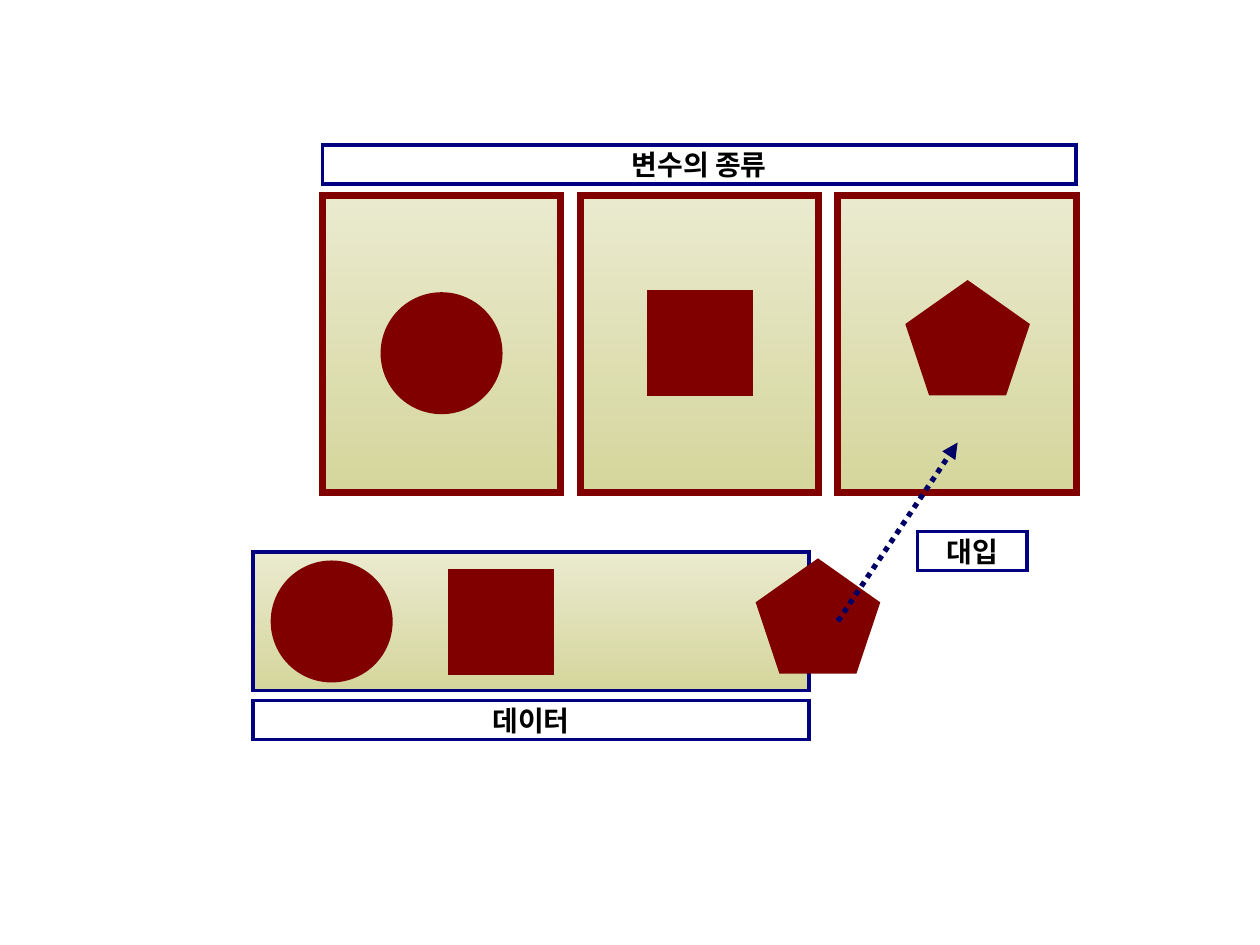
from lxml import etree
from pptx import Presentation
from pptx.dml.color import RGBColor
from pptx.enum.dml import MSO_LINE
from pptx.enum.shapes import MSO_CONNECTOR, MSO_SHAPE
from pptx.enum.text import MSO_ANCHOR, PP_ALIGN
from pptx.oxml.ns import qn
from pptx.util import Pt

RECTANGLE = MSO_SHAPE.RECTANGLE
CIRCLE = MSO_SHAPE.OVAL
PENTAGON = MSO_SHAPE.REGULAR_PENTAGON
STRAIGHT = MSO_CONNECTOR.STRAIGHT
DOTTED = MSO_LINE.ROUND_DOT
MIDDLE = MSO_ANCHOR.MIDDLE
CENTER = PP_ALIGN.CENTER

FONT = "DejaVu Sans Mono"
COLORS = {
    "white": "FFFFFF", "black": "000000", "navy": "000080", "arrow": "000066",
    "maroon": "800000", "sand_light": "EAEACF", "sand_dark": "D5D69C",
}
SAND = ("sand_light", "sand_dark")

# Variable panels: equal boxes filling the width of their heading
PANEL_COUNT = 3
PANELS_LEFT, PANELS_TOP, PANELS_WIDTH = 184.3, 111.6, 430.6
PANEL_WIDTH, PANEL_HEIGHT = 136.1, 169.9
PANEL_STEP = (PANELS_WIDTH - PANEL_WIDTH) / (PANEL_COUNT - 1)

# Data tray below the panels
TRAY_LEFT, TRAY_TOP, TRAY_WIDTH, TRAY_HEIGHT = 144.7, 315.4, 317.5, 79.2

LABEL_HEIGHT = 22.3
LABELS = [  # text, left, top, width
    ("변수의 종류", PANELS_LEFT, 83, PANELS_WIDTH),
    ("데이터", TRAY_LEFT, 400.3, TRAY_WIDTH),
    ("대입", 524.4, 303.8, 62.6),
]

FIGURES = [  # kind, width, height, line weight, position in panel, position in tray
    (CIRCLE, 67.7, 67.7, 2, (218.5, 168), (155.7, 321.3)),
    (RECTANGLE, 56.9, 56.9, 4, (371.5, 167.7), (257.8, 326.9)),
    (PENTAGON, 67.7, 62.6, 3, (519.1, 161.9), (433.6, 320.9)),
]

ARROW = (478.8, 355, 547.2, 252.9)


def color(name):
    return RGBColor.from_string(COLORS[name])


def add_box(kind, left, top, width, height, fill, outline, weight):
    """Add a shape; fill is one colour name or a (top, bottom) pair."""
    box = slide.shapes.add_shape(kind, Pt(left), Pt(top), Pt(width), Pt(height))
    box.shadow.inherit = False
    if isinstance(fill, tuple):
        box.fill.gradient()
        box.fill.gradient_angle = 270
        for stop, name in zip(box.fill.gradient_stops, fill):
            stop.color.rgb = color(name)
    else:
        box.fill.solid()
        box.fill.fore_color.rgb = color(fill)
    box.line.color.rgb = color(outline)
    box.line.width = Pt(weight)
    line = box.line._get_or_add_ln()
    etree.SubElement(line, qn("a:miter"), lim="800000")
    return box


def add_label(text, left, top, width):
    box = add_box(RECTANGLE, left, top, width, LABEL_HEIGHT, "white", "navy", 2)
    frame = box.text_frame
    frame.text = text
    frame.word_wrap = False
    frame.vertical_anchor = MIDDLE
    para = frame.paragraphs[0]
    para.alignment = CENTER
    font = para.runs[0].font
    font.name, font.size, font.bold = FONT, Pt(16), True
    font.color.rgb = color("black")


deck = Presentation()
deck.slide_width, deck.slide_height = Pt(720), Pt(540)
slide = deck.slides.add_slide(deck.slide_layouts[6])

# Data tray and variable panels
add_box(RECTANGLE, TRAY_LEFT, TRAY_TOP, TRAY_WIDTH, TRAY_HEIGHT, SAND, "navy", 2)
for index in range(PANEL_COUNT):
    add_box(RECTANGLE, PANELS_LEFT + index * PANEL_STEP, PANELS_TOP,
            PANEL_WIDTH, PANEL_HEIGHT, SAND, "maroon", 4)

# Each figure appears in its panel and in the tray
for kind, width, height, weight, *positions in FIGURES:
    for left, top in positions:
        add_box(kind, left, top, width, height, "maroon", "maroon", weight)

# Assignment arrow
arrow = slide.shapes.add_connector(STRAIGHT, *map(Pt, ARROW))
arrow.line.color.rgb = color("arrow")
arrow.line.width = Pt(3)
arrow.line.dash_style = DOTTED
etree.SubElement(arrow.line._get_or_add_ln(), qn("a:tailEnd"), type="triangle")
etree.SubElement(arrow._element.spPr, qn("a:effectLst"))

# Labels
for label in LABELS:
    add_label(*label)

deck.save("out.pptx")
